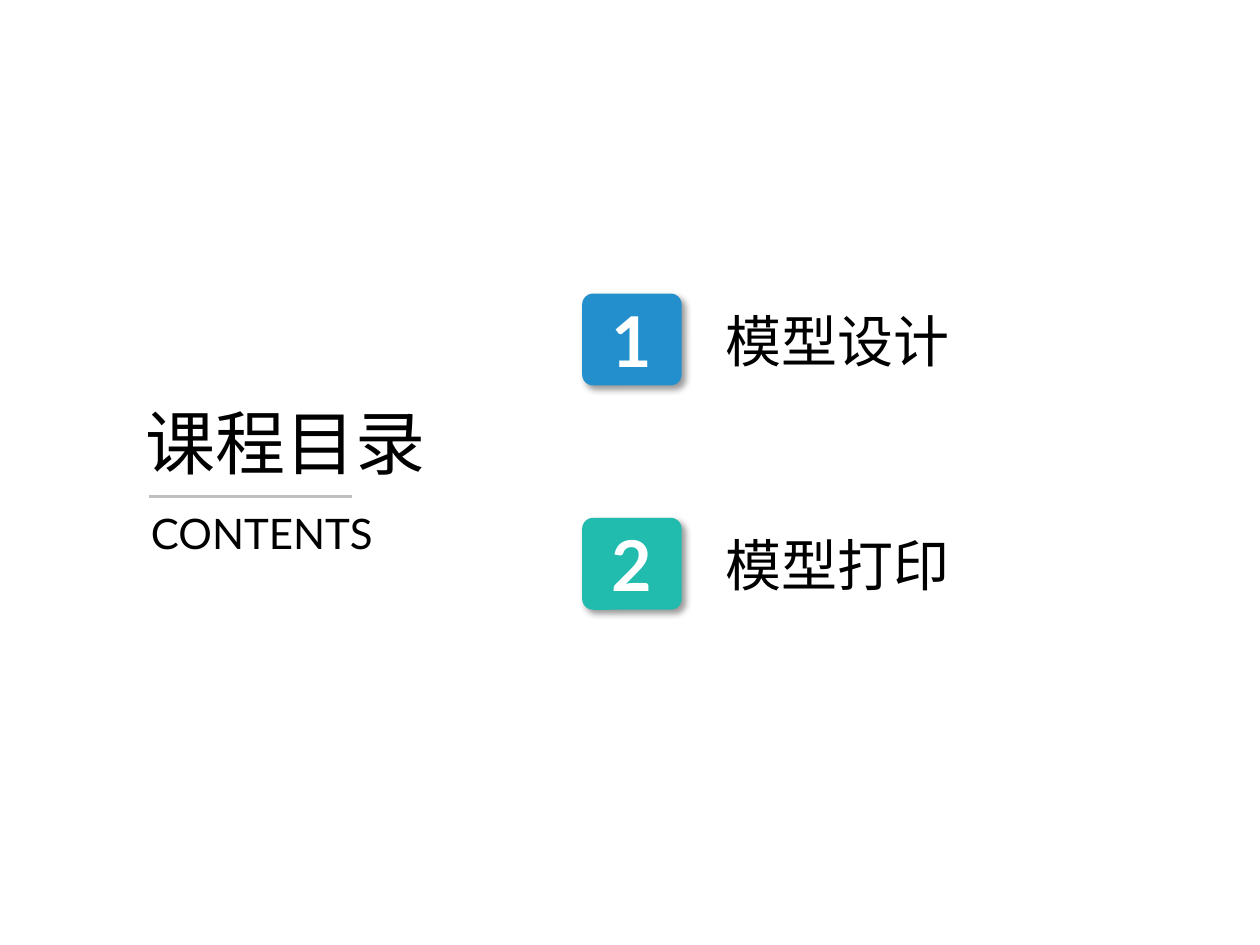
"""Build a course contents slide with a title and two numbered topics."""
from lxml import etree
from pptx import Presentation
from pptx.dml.color import RGBColor
from pptx.enum.shapes import MSO_CONNECTOR, MSO_SHAPE
from pptx.enum.text import MSO_ANCHOR, PP_ALIGN
from pptx.oxml.ns import qn
from pptx.util import Inches, Pt

ROUNDED = MSO_SHAPE.ROUNDED_RECTANGLE
STRAIGHT = MSO_CONNECTOR.STRAIGHT
MIDDLE = MSO_ANCHOR.MIDDLE
CENTER, JUSTIFY = PP_ALIGN.CENTER, PP_ALIGN.JUSTIFY

LATIN, CJK = "Lato", "Noto Sans CJK SC"
COLORS = {"text": "000000", "white": "FFFFFF", "rule": "BFBFBF",
          "blue": "2390CD", "teal": "22BCAF"}
TOPICS = [("模型设计", "blue"), ("模型打印", "teal")]
TOPIC_TOP, TOPIC_STEP = 2.33, 1.78


def rgb(name):
    return RGBColor.from_string(COLORS[name])


def write(tf, text, size, font=LATIN, color="text", bold=False, align=None):
    p = tf.paragraphs[0]
    p.text = text
    p.alignment = align
    p.font.size = Pt(size)
    p.font.bold = bold
    p.font.name = font
    p.font.color.rgb = rgb(color)
    ea = etree.SubElement(p.font._element, qn("a:ea"))
    ea.set("typeface", CJK)


def add_text(s, x, y, w, h, text, size, wrap=True, **style):
    tf = s.shapes.add_textbox(Inches(x), Inches(y), Inches(w), Inches(h)).text_frame
    tf.word_wrap = wrap
    write(tf, text, size, **style)


def add_shadow(sp):
    sp.shadow.inherit = False
    effects = sp._element.spPr.find(qn("a:effectLst"))
    shadow = etree.SubElement(effects, qn("a:outerShdw"), blurRad=str(Pt(4)),
                              dist=str(Pt(3)), dir="2700000", algn="tl",
                              rotWithShape="0")
    color = etree.SubElement(shadow, qn("a:srgbClr"), val=COLORS["text"])
    etree.SubElement(color, qn("a:alpha"), val="40000")


def add_badge(s, x, y, number, color):
    sp = s.shapes.add_shape(ROUNDED, Inches(x), Inches(y), Inches(0.79), Inches(0.73))
    sp.adjustments[0] = 0.12
    sp.fill.solid()
    sp.fill.fore_color.rgb = rgb(color)
    sp.line.fill.background()
    add_shadow(sp)
    sp.text_frame.vertical_anchor = MIDDLE
    write(sp.text_frame, str(number), 40, color="white", bold=True, align=CENTER)


def add_rule(s, x1, x2, y):
    line = s.shapes.add_connector(STRAIGHT, Inches(x1), Inches(y), Inches(x2), Inches(y))
    line.line.color.rgb = rgb("rule")
    line.line.width = Pt(1.5)
    etree.SubElement(line._element.spPr, qn("a:effectLst"))


def main():
    prs = Presentation()
    prs.slide_width, prs.slide_height = Inches(10), Inches(7.5)
    s = prs.slides.add_slide(prs.slide_layouts[6])
    add_text(s, 1.06, 3.12, 2.45, 0.77, "课程目录", 40, wrap=False, font=CJK)
    add_rule(s, 1.18, 2.79, 3.94)
    add_text(s, 1.1, 3.98, 2.24, 0.5, "CONTENTS", 24, align=JUSTIFY)
    for i, (topic, color) in enumerate(TOPICS):
        y = TOPIC_TOP + i * TOPIC_STEP
        add_text(s, 5.66, y + 0.05, 3.27, 0.67, topic, 32)
        add_badge(s, 4.62, y, i + 1, color)
    prs.save("out.pptx")


if __name__ == "__main__":
    main()
